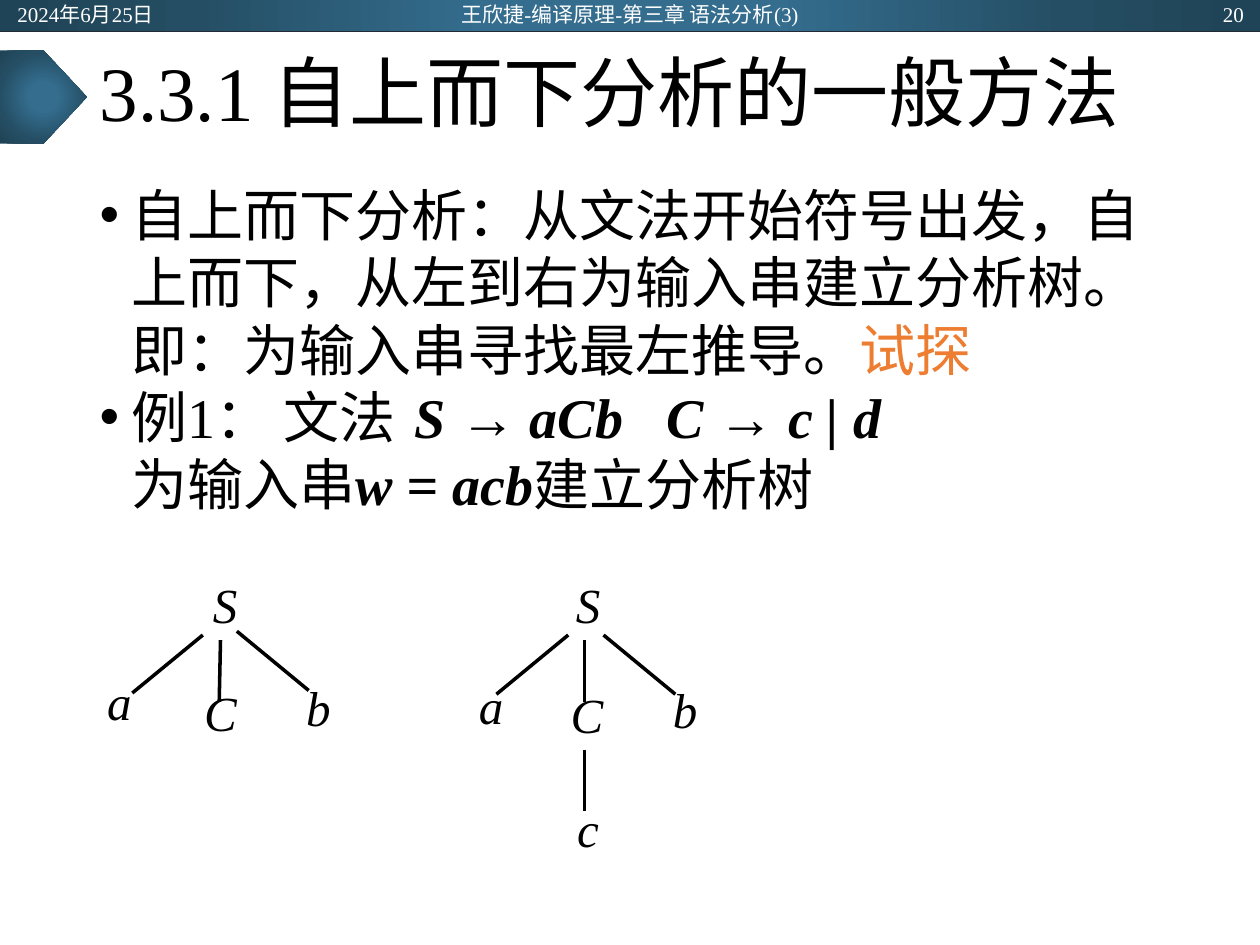
from lxml import etree
from pptx import Presentation
from pptx import util as u
from pptx.dml.color import RGBColor
from pptx.enum import shapes, text
from pptx.oxml import parse_xml
from pptx.oxml.ns import nsdecls, qn

BLACK = RGBColor(0x00, 0x00, 0x00)
WHITE = RGBColor(0xFF, 0xFF, 0xFF)
ORANGE = RGBColor(0xED, 0x7D, 0x31)
NAVY = RGBColor(0x22, 0x2A, 0x35)
TEAL_STOPS = [(0, RGBColor(0x34, 0x6D, 0x8E)), (23, RGBColor(0x34, 0x6D, 0x8E)),
              (69, RGBColor(0x25, 0x4E, 0x64)), (97, RGBColor(0x20, 0x44, 0x57))]
LATIN, CJK = "Times New Roman", "Noto Sans CJK SC"
ALIGN, ANCHOR = text.PP_ALIGN, text.MSO_ANCHOR
BOLD_ITALIC = {"bold": True, "italic": True}
BOLD = {"bold": True}
HAN = {"name": CJK}


class Deck:
    """Holds the style and the current slide."""

    def __init__(self, prs):
        self.prs = prs
        self.s = prs.slides.add_slide(prs.slide_layouts[1])

    def place(self, sp, box):
        sp.left, sp.top, sp.width, sp.height = map(u.Inches, box)

    def run(self, p, words, size, color=BLACK, **fmt):
        r = p.add_run()
        r.text = words
        for key, value in {"name": LATIN, "size": u.Pt(size), **fmt}.items():
            setattr(r.font, key, value)
        r.font.color.rgb = color
        ea = etree.SubElement(r.font._element, qn("a:ea"))
        ea.set("typeface", CJK)

    def frame(self, sp, **fmt):
        tf = sp.text_frame
        base = {"word_wrap": True, "auto_size": text.MSO_AUTO_SIZE.NONE}
        for key, value in {**base, **fmt}.items():
            setattr(tf, key, value)
        return tf

    def title(self, words, box):
        sp = self.s.shapes.title
        self.place(sp, box)
        p = self.frame(sp, vertical_anchor=ANCHOR.MIDDLE).paragraphs[0]
        p.alignment, p.line_spacing = ALIGN.LEFT, 0.9
        self.run(p, words, 44)

    def bullets(self, items, box):
        sp = self.s.placeholders[1]
        self.place(sp, box)
        tf = self.frame(sp, vertical_anchor=ANCHOR.TOP)
        for i, runs in enumerate(items):
            p = tf.add_paragraph() if i else tf.paragraphs[0]
            pPr = p._p.get_or_add_pPr()
            pPr.set("marL", str(u.Inches(0.25)))
            pPr.set("indent", str(u.Inches(-0.25)))
            p.space_before, p.line_spacing = u.Pt(0), u.Pt(38.5)
            for words, fmt in runs:
                if words == "\n":
                    p.add_line_break()
                else:
                    self.run(p, words, 32, **fmt)

    def label(self, where, words, box, size, align, color=BLACK, margins=None, fmt=None, **frame):
        sp = where.add_textbox(*map(u.Inches, box))
        tf = self.frame(sp, **frame)
        if margins:
            tf.margin_left = tf.margin_right = u.Inches(margins[0])
            tf.margin_top = tf.margin_bottom = u.Inches(margins[1])
        p = tf.paragraphs[0]
        p.alignment = align
        self.run(p, words, size, color, **(fmt or {}))

    def line(self, where, ends, color, width):
        sp = where.add_connector(shapes.MSO_CONNECTOR.STRAIGHT, *map(u.Inches, ends))
        sp.line.color.rgb, sp.line.width = color, u.Pt(width)
        etree.SubElement(sp._element.spPr, qn("a:effectLst"))

    def glow(self, kind, box):
        """A preset shape with a teal gradient spreading from its centre."""
        sp = self.s.shapes.add_shape(kind, *map(u.Inches, box))
        sp.shadow.inherit = False
        sp.line.fill.background()
        stops = "".join(f'<a:gs pos="{pos * 1000}"><a:srgbClr val="{c}"/></a:gs>'
                        for pos, c in TEAL_STOPS)
        grad = parse_xml(
            f'<a:gradFill {nsdecls("a")} rotWithShape="1"><a:gsLst>{stops}</a:gsLst>'
            '<a:path path="circle"><a:fillToRect l="50000" t="50000" r="50000" b="50000"/>'
            '</a:path></a:gradFill>')
        sp._element.spPr.find(qn("a:prstGeom")).addnext(grad)

    def tree(self, nodes, edges):
        group = self.s.shapes.add_group_shape().shapes
        for ends in edges:
            self.line(group, ends, BLACK, 2)
        for symbol, x, y in nodes:
            self.label(group, symbol, (x, y, 0.34, 0.55), 28, ALIGN.JUSTIFY,
                       margins=(0.02, 0.01), fmt={"italic": True})


def main():
    prs = Presentation()
    prs.slide_width, prs.slide_height = u.Inches(10), u.Inches(7.5)
    deck = Deck(prs)
    top = deck.s.shapes

    # Header band and title marker
    deck.glow(shapes.MSO_SHAPE.RECTANGLE, (0, 0, 10, 0.25))
    deck.line(top, (0, 0.25, 10, 0.25), NAVY, 0.5)
    deck.glow(shapes.MSO_SHAPE.PENTAGON, (0, 0.4, 0.69, 0.74))
    for words, x, w, align in [("2024年6月25日", 0.04, 2.25, ALIGN.LEFT),
                               ("王欣捷-编译原理-第三章 语法分析(3)", 3.31, 3.38, ALIGN.CENTER),
                               ("20", 7.72, 2.25, ALIGN.RIGHT)]:
        deck.label(top, words, (x, 0.01, w, 0.2), 12, align, WHITE,
                   vertical_anchor=ANCHOR.MIDDLE)

    # Title and body
    deck.title("3.3.1 自上而下分析的一般方法", (0.69, 0.25, 8.62, 1.04))
    deck.bullets([
        [("自上而下分析：从文法开始符号出发，自上而下，从左到右为输入串建立分析树。"
          "即：为输入串寻找最左推导。", {}), ("试探", {"color": ORANGE})],
        [("例1： 文法\t", {}), ("S ", BOLD_ITALIC), ("→ ", BOLD), ("aCb\tC ", BOLD_ITALIC),
         ("→ ", BOLD), ("c | d", BOLD_ITALIC), ("\n", {}), ("为输入串", HAN),
         ("w", BOLD_ITALIC), (" = ", BOLD), ("acb", BOLD_ITALIC), ("建立分析树", HAN)],
    ], (0.69, 1.38, 8.62, 5.38))

    # Parse trees: first step, then C expanded to c
    deck.tree([("S", 1.67, 4.55), ("a", 0.83, 5.32), ("C", 1.6, 5.41), ("b", 2.41, 5.37)],
              [(1.61, 5.04, 1.05, 5.5), (1.75, 5.08, 1.74, 5.57), (1.88, 5.01, 2.45, 5.48)])
    deck.tree([("S", 4.55, 4.55), ("a", 3.78, 5.35), ("C", 4.51, 5.42), ("b", 5.32, 5.38),
               ("c", 4.56, 6.33)],
              [(4.51, 5.04, 3.94, 5.51), (4.64, 5.08, 4.64, 5.57), (4.79, 5.04, 5.36, 5.51),
               (4.64, 5.95, 4.64, 6.44)])

    prs.save("out.pptx")


if __name__ == "__main__":
    main()
